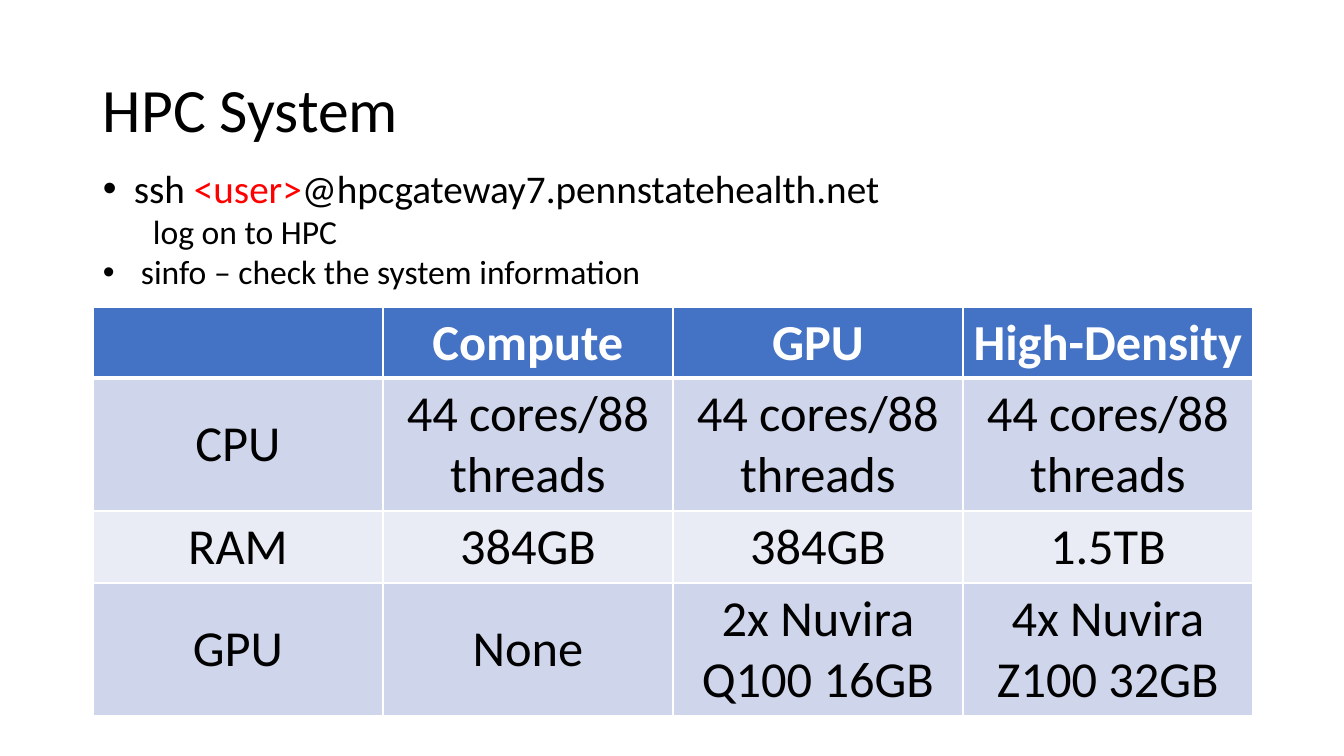
from pptx import Presentation
from pptx.dml.color import RGBColor
from pptx.enum.text import MSO_ANCHOR as Anchor, PP_ALIGN as Align
from pptx.oxml.ns import qn
from pptx.util import Pt
from lxml.etree import SubElement

TITLE = "HPC System"
BLACK, WHITE, RED = "000000", "FFFFFF", "FF0000"

# level, left margin px, bulleted, font size, runs of (text, colour)
COMMANDS = [
    (0, 31, True, 28, [("ssh ", BLACK), ("<user>", RED),
                       ("@hpcgateway7.pennstatehealth.net", BLACK)]),
    (1, 50, False, 24, [("log on to HPC", BLACK)]),
    (0, 38, True, 24, [("sinfo – check the system information", BLACK)]),
]

NODES = [
    ["", "Compute", "GPU", "High-Density"],
    ["CPU"] + ["44 cores/88 threads"] * 3,
    ["RAM", "384GB", "384GB", "1.5TB"],
    ["GPU", "None", "2x Nuvira Q100 16GB", "4x Nuvira Z100 32GB"],
]
ROW_FILLS = ["4472C4", "CFD5EA", "E9EBF5", "CFD5EA"]
ROW_HEIGHTS = [71, 133, 72, 133]
COLUMN_WIDTH = 290

TITLE_AREA = (93, 40, 1159, 146)
COMMANDS_AREA = (93, 159, 961, 139)
TABLE_LEFT, TABLE_TOP = 93, 307


def px(length):
    return round(length * 914400 / 100.8)


def rgb(hex_colour):
    return RGBColor.from_string(hex_colour)


def add_run(paragraph, text, size, colour, bold=False):
    run = paragraph.add_run()
    run.text = text
    style = {"name": "Calibri", "size": Pt(size), "bold": bold}
    for attribute, value in style.items():
        setattr(run.font, attribute, value)
    run.font.color.rgb = rgb(colour)


def add_text_area(slide, area, anchor):
    frame = slide.shapes.add_textbox(*map(px, area)).text_frame
    frame.word_wrap = True
    frame.vertical_anchor = anchor
    return frame


def set_hanging_bullet(paragraph, margin, bulleted):
    properties = paragraph._p.get_or_add_pPr()
    properties.set("marL", str(px(margin)))
    properties.set("indent", str(-px(margin) if bulleted else 0))
    if bulleted:
        SubElement(properties, qn("a:buFont"), typeface="Arial")
        SubElement(properties, qn("a:buChar"), char="•")
    else:
        SubElement(properties, qn("a:buNone"))


def set_borders(cell, widths):
    """Draw white borders; widths gives points per side."""
    properties = cell._tc.get_or_add_tcPr()
    for side, width in widths.items():
        line = SubElement(properties, qn(f"a:ln{side}"), w=str(Pt(width)))
        fill = SubElement(line, qn("a:solidFill"))
        SubElement(fill, qn("a:srgbClr"), val=WHITE)


def add_title(slide):
    heading = add_text_area(slide, TITLE_AREA, Anchor.MIDDLE).paragraphs[0]
    heading.line_spacing = 0.9
    add_run(heading, TITLE, 44, BLACK)


def add_commands(slide):
    frame = add_text_area(slide, COMMANDS_AREA, Anchor.TOP)
    for index, (level, margin, bulleted, size, runs) in enumerate(COMMANDS):
        command = frame.add_paragraph() if index else frame.paragraphs[0]
        command.level = level
        set_hanging_bullet(command, margin, bulleted)
        for text, colour in runs:
            add_run(command, text, size, colour)


def add_node_table(slide):
    columns = len(NODES[0])
    size = (columns * COLUMN_WIDTH, sum(ROW_HEIGHTS))
    table = slide.shapes.add_table(
        len(NODES), columns, *map(px, (TABLE_LEFT, TABLE_TOP, *size))).table
    for column in table.columns:
        column.width = px(COLUMN_WIDTH)
    for r, (texts, fill, height) in enumerate(zip(NODES, ROW_FILLS, ROW_HEIGHTS)):
        table.rows[r].height = px(height)
        header = r == 0
        widths = {"L": 1, "R": 1, "T": 3 if r == 1 else 1, "B": 3 if header else 1}
        for c, text in enumerate(texts):
            cell = table.cell(r, c)
            set_borders(cell, widths)
            cell.fill.solid()
            cell.fill.fore_color.rgb = rgb(fill)
            centred = r == len(NODES) - 1 or (c == 0 and not header)
            cell.vertical_anchor = Anchor.MIDDLE if centred else Anchor.TOP
            paragraph = cell.text_frame.paragraphs[0]
            paragraph.alignment = Align.CENTER
            if text:
                add_run(paragraph, text, 36, WHITE if header else BLACK, header)


def main():
    deck = Presentation()
    deck.slide_width, deck.slide_height = px(1344), px(756)
    slide = deck.slides.add_slide(deck.slide_layouts[6])
    add_title(slide)
    add_node_table(slide)
    add_commands(slide)
    deck.save("out.pptx")


if __name__ == "__main__":
    main()
